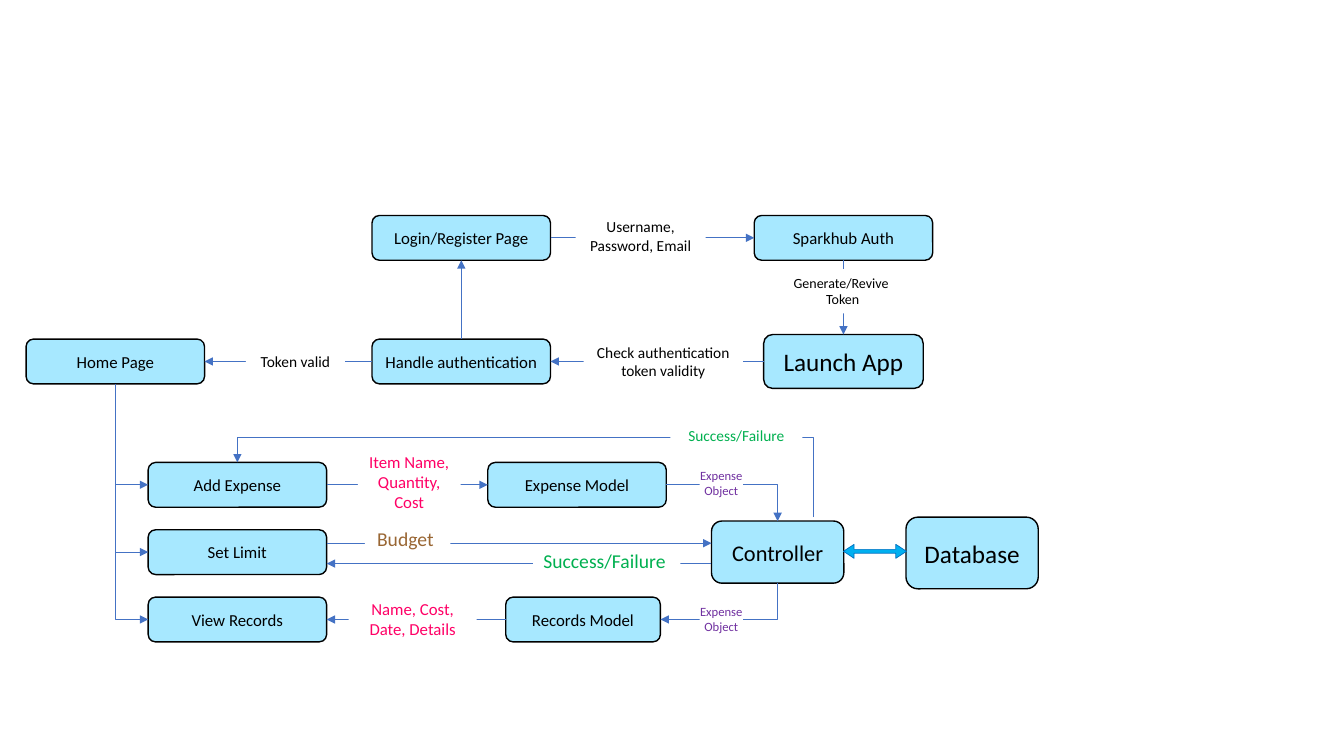
from typing import NamedTuple
from itertools import product

from pptx import Presentation
from pptx.dml.color import RGBColor as Rgb
from pptx.enum.shapes import MSO_CONNECTOR as Link, MSO_SHAPE as Kind
from pptx.enum.text import MSO_ANCHOR as Anchor, MSO_AUTO_SIZE as Fit, PP_ALIGN as Align
from pptx.oxml.ns import qn
from pptx.util import Pt
from lxml.etree import SubElement

HUES = {
    "box": "A7E8FF", "ink": "000000", "line": "4472C4", "paper": "FFFFFF",
    "pink": "FF0066", "brown": "996633", "green": "00B050", "violet": "7030A0",
    "arrow": "00B0F0", "edge": "0070C0",
}
FONT = "Calibri"
TOP, LEFT, LOW, RIGHT = range(4)  # connection sites of a box


class Node(NamedTuple):
    """A rounded box, placed by its centre."""
    text: str
    x: float
    y: float
    wide: float = 127.5
    high: float = 32
    size: int = 12


class Label(NamedTuple):
    """A white caption over a line, placed by its centre."""
    text: str
    x: float
    y: float
    wide: float
    high: float
    size: int = 11
    hue: str = "ink"
    inset: bool = True


class Flow(NamedTuple):
    """A line glued to two boxes, its arrowhead at either end."""
    start: str
    out: int
    end: str
    into: int
    head: str = "tailEnd"
    bent: bool = False


# Centres shared by columns and rows
HOME, PAGE, APP, ITEM, CTRL = 82.4, 329.5, 602.5, 169.6, 555.5
LOGIN, TOKEN, ADD, LIMIT, VIEW = 169.9, 258.2, 346.3, 394.4, 442.5

NODES = [
    Node("Launch App", APP, TOKEN, 114, 38.5, 18),
    Node("Handle authentication", PAGE, TOKEN),
    Node("Home Page", HOME, TOKEN),
    Node("Login/Register Page", PAGE, LOGIN),
    Node("Sparkhub Auth", APP, LOGIN),
    Node("Add Expense", ITEM, ADD),
    Node("Set Limit", ITEM, LIMIT),
    Node("View Records", ITEM, VIEW),
    Node("Controller", CTRL, LIMIT, 94.5, 44.4, 16),
    Node("Expense Model", 412.2, ADD),
    Node("Records Model", 416.5, VIEW, 110.5),
    Node("Database", 694.4, 395, 94.5, 51.2, 18),
]

FLOWS = [
    Flow("Login/Register Page", RIGHT, "Sparkhub Auth", LEFT),
    Flow("Sparkhub Auth", LOW, "Launch App", TOP),
    Flow("Launch App", LEFT, "Handle authentication", RIGHT),
    Flow("Handle authentication", TOP, "Login/Register Page", LOW),
    Flow("Handle authentication", LEFT, "Home Page", RIGHT),
    Flow("Add Expense", RIGHT, "Expense Model", LEFT),
    Flow("View Records", RIGHT, "Records Model", LEFT, "headEnd"),
    Flow("Expense Model", RIGHT, "Controller", TOP, bent=True),
    Flow("Records Model", RIGHT, "Controller", LOW, "headEnd", True),
] + [
    Flow(item, LEFT, "Home Page", LOW, "headEnd", True)
    for item in ("Add Expense", "Set Limit", "View Records")
]

LABELS = [
    Label("Username, Password, Email", 457.6, 168.8, 93, 33.8),
    Label("Generate/Revive \nToken", 601.9, 208, 93.6, 31.6, 10),
    Label("Check authentication token validity", 473.8, TOKEN, 113.8, 33.8),
    Label("Token valid", 211, TOKEN, 70.6, 20.8),
    Label("Success/Failure", 526, 311.4, 94.4, 20.8, 11, "green"),
    Label("Item Name,\nQuantity,\nCost", 292.3, 344.5, 73.4, 51, 12, "pink"),
    Label("Name, Cost,\nDate, Details", 294.8, 442.2, 91.4, 36, 12, "pink"),
    Label("Budget ", 291.2, 385.2, 61.2, 24.4, 14, "brown"),
    Label("Success/Failure ", 433.4, 401, 105.2, 24.4, 14, "green"),
] + [
    Label("Expense Object", x, y, 31, 22.2, 9, "violet", False)
    for x, y in product([515.2], [345.2, VIEW])
]


def tint(name: str) -> Rgb:
    """Give the colour of that name."""
    return Rgb.from_string(HUES[name])


def frame(x: float, y: float, wide: float, high: float) -> tuple:
    """Turn a centre and a size into left, top, width and height."""
    return Pt(x - wide / 2), Pt(y - high / 2), Pt(wide), Pt(high)


def write(shape, text: str, size: int, hue: str) -> None:
    """Write centred lines of text in a shape."""
    shape.text_frame.word_wrap = True
    shape.text_frame.text = text
    for para in shape.text_frame.paragraphs:
        para.alignment = Align.CENTER
        para.font.name, para.font.size = FONT, Pt(size)
        para.font.color.rgb = tint(hue)


def paint(shape, fill: str, edge: str, width: float) -> None:
    """Set fill and outline, without a shadow."""
    shape.shadow.inherit = False
    shape.fill.solid()
    shape.fill.fore_color.rgb = tint(fill)
    shape.line.color.rgb = tint(edge)
    shape.line.width = Pt(width)


def stroke(shape, head: str) -> None:
    """Draw a thin line with a triangle at one end."""
    shape.line.color.rgb = tint("line")
    shape.line.width = Pt(0.5)
    SubElement(shape.line._get_or_add_ln(), qn("a:" + head), type="triangle")


def add_node(shapes, node: Node):
    """Add a rounded box with its name."""
    box = shapes.add_shape(Kind.ROUNDED_RECTANGLE, *frame(*node[1:5]))
    paint(box, "box", "ink", 1)
    write(box, node.text, node.size, "ink")
    box.text_frame.vertical_anchor = Anchor.MIDDLE
    return box


def add_line(shapes, ends: tuple, head: str, bent: bool = False):
    """Add a straight or one-bend connector."""
    kind = Link.ELBOW if bent else Link.STRAIGHT
    line = shapes.add_connector(kind, *map(Pt, ends))
    stroke(line, head)
    props = line._element.spPr
    SubElement(props, qn("a:effectLst"))
    if bent:
        props.find(qn("a:prstGeom")).set("prst", "bentConnector2")
    return line


def add_flow(shapes, boxes: dict, flow: Flow) -> None:
    """Glue a connector to two boxes."""
    line = add_line(shapes, (0, 0, 0, 0), flow.head, flow.bent)
    line.begin_connect(boxes[flow.start], flow.out)
    line.end_connect(boxes[flow.end], flow.into)


def add_loop(shapes, points: list) -> None:
    """Add the open path that returns to an earlier step."""
    pen = shapes.build_freeform(*map(Pt, points[0]))
    pen.add_line_segments([tuple(map(Pt, p)) for p in points[1:]], close=False)
    loop = pen.convert_to_shape()
    loop.shadow.inherit = False
    loop.fill.background()
    stroke(loop, "tailEnd")


def add_label(shapes, label: Label) -> None:
    """Add a caption that hides the line behind it."""
    box = shapes.add_textbox(*frame(*label[1:5]))
    box.fill.solid()
    box.fill.fore_color.rgb = tint("paper")
    write(box, label.text, label.size, label.hue)
    text = box.text_frame
    text.auto_size = Fit.SHAPE_TO_FIT_TEXT
    if not label.inset:
        text.margin_left = text.margin_right = text.margin_top = text.margin_bottom = 0


def main() -> None:
    """Build and save the slide."""
    deck = Presentation()
    deck.slide_width, deck.slide_height = Pt(960), Pt(540)
    shapes = deck.slides.add_slide(deck.slide_layouts[6]).shapes
    boxes = {node.text: add_node(shapes, node) for node in NODES}
    for flow in FLOWS:
        add_flow(shapes, boxes, flow)
    for y, head in ((388, "tailEnd"), (402.6, "headEnd")):
        add_line(shapes, (233.4, y, 508.2, y), head)
    add_loop(shapes, [(581, 369.4), (581, 312.5), (ITEM, 312.5), (ITEM, 330.3)])
    both = shapes.add_shape(Kind.LEFT_RIGHT_ARROW, *frame(625, 393.8, 45, 10))
    both.adjustments[0], both.adjustments[1] = 0.28, 0.76
    paint(both, "arrow", "edge", 0.5)
    for label in LABELS:
        add_label(shapes, label)
    deck.save("out.pptx")


main()
